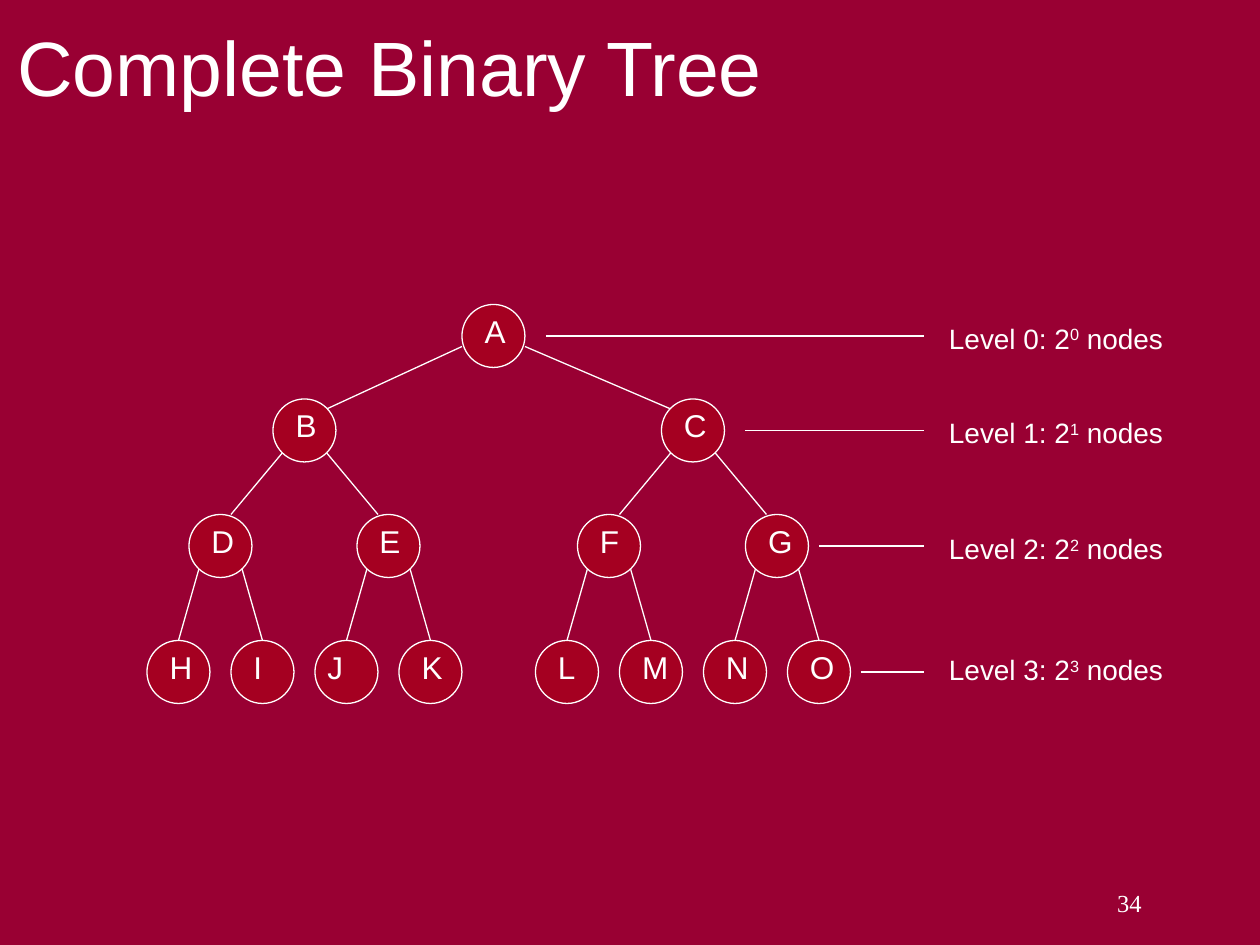
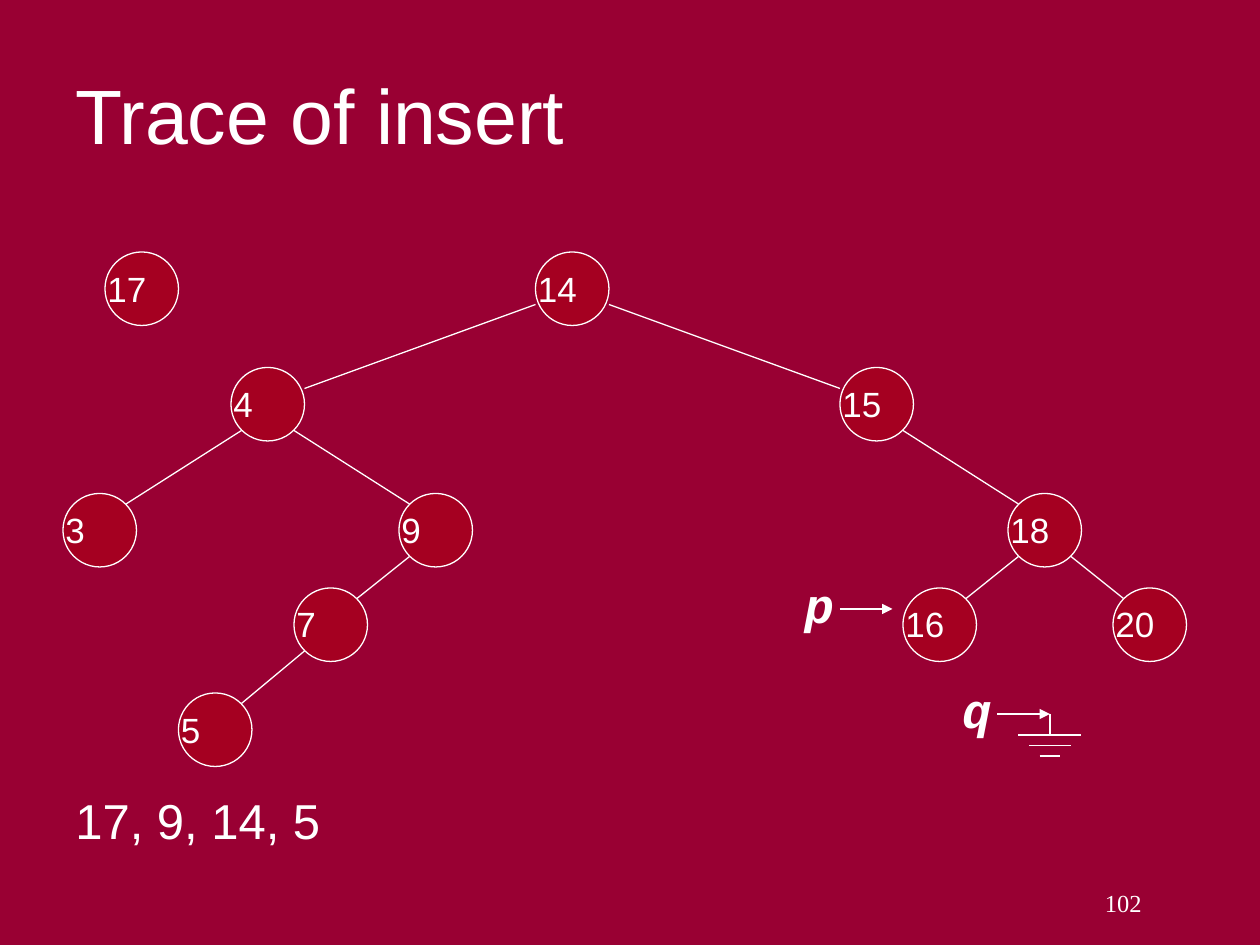
from lxml.etree import SubElement
from pptx import Presentation
from pptx.dml.color import RGBColor
from pptx.enum.shapes import MSO_CONNECTOR, MSO_SHAPE
from pptx.enum.text import MSO_ANCHOR, PP_ALIGN
from pptx.oxml.ns import qn
from pptx.util import Inches, Pt

BACKGROUND, NODE_FILL, WHITE = "990033", "A50021", "FFFFFF"
TITLE = {"name": "Arial", "size": Pt(44)}
BODY = {"name": "Arial", "size": Pt(28)}
LETTER = {"name": "Arial", "size": Pt(18)}
NUMBER = {"name": "Arial", "size": Pt(20)}
LEVEL = {"name": "Arial", "size": Pt(16)}
POINTER = {"name": "Courier New", "size": Pt(28), "bold": True, "italic": True}
PAGE = {"name": "Times New Roman", "size": Pt(14)}


def color(value):
    return RGBColor.from_string(value)


def grid(n):
    return Inches(n / 12)


def add_text(s, text, box, font, **frame):
    tf = s.shapes.add_textbox(*map(Inches, box)).text_frame
    for name, value in {"word_wrap": True, **frame}.items():
        setattr(tf, name, value)
    p = tf.paragraphs[0]
    for i, part in enumerate(text.split("^")):
        r = p.add_run()
        r.text = part
        for name, value in font.items():
            setattr(r.font, name, value)
        r.font.color.rgb = color(WHITE)
        if i == 1:
            r._r.get_or_add_rPr().set("baseline", "30000")
    return p


def add_line(s, x1, y1, x2, y2, arrow=False):
    c = s.shapes.add_connector(MSO_CONNECTOR.STRAIGHT, *map(grid, (x1, y1, x2, y2)))
    c.line.color.rgb = color(WHITE)
    c.line.width = Pt(0.75)
    if arrow:
        SubElement(c.line._get_or_add_ln(), qn("a:tailEnd"), type="triangle")
    SubElement(c._element.spPr, qn("a:effectLst"))


def add_node(s, text, x, y, size, text_box, font):
    sp = s.shapes.add_shape(MSO_SHAPE.OVAL, *map(grid, (x, y, size, size)))
    sp.shadow.inherit = False
    sp.fill.solid()
    sp.fill.fore_color.rgb = color(NODE_FILL)
    sp.line.color.rgb = color(WHITE)
    sp.line.width = Pt(0.75)
    dx, dy, width, height = text_box
    add_text(s, text, (x / 12 + dx, y / 12 + dy, width, height), font)


def add_edge(s, parent, child, size, leave, arrive):
    (px, py), (cx, cy) = parent, child
    (lx, ly), (ax, ay) = leave, arrive
    if cx > px:
        lx, ax = size - lx, size - ax
    add_line(s, px + lx, py + ly, cx + ax, cy + ay)


def add_slide(prs, title, left, top, number):
    s = prs.slides.add_slide(prs.slide_layouts[6])
    s.background.fill.solid()
    s.background.fill.fore_color.rgb = color(BACKGROUND)
    add_text(s, str(number), (7.08, 7, 2.08, 0.5), PAGE).alignment = PP_ALIGN.RIGHT
    add_text(s, title, (left, top, 9, 1), TITLE, vertical_anchor=MSO_ANCHOR.MIDDLE)
    return s


def complete_tree(s, left, top):
    size = 6
    tops = [top + dy for dy in (0, 9, 20, 32)]
    rows = [[left + 8 * i + 5 * (i // 4) for i in range(8)]]
    while len(rows[0]) > 1:
        below = rows[0]
        rows.insert(0, [(a + b) // 2 for a, b in zip(below[::2], below[1::2])])
    ports = [((0, 4), (5, 1)), ((1, 5), (4, 0)), ((1, 5), (3, 0))]
    for depth, (leave, arrive) in enumerate(ports):
        for i, x in enumerate(rows[depth + 1]):
            parent = rows[depth][i // 2], tops[depth]
            add_edge(s, parent, (x, tops[depth + 1]), size, leave, arrive)
    letters = iter("ABCDEFGHIJKLMNO")
    for row, y in zip(rows, tops):
        for x in row:
            letter = next(letters)
            dx = 0 if letter == "J" else 0.08
            add_node(s, letter, x, y, size, (dx, 0.01, 0.42, 0.4), LETTER)


def level_key(s, left, top):
    rows = [(0, 36, 2.5), (9, 17, 3.25), (20, 10, 4.17), (32, 6, 5.13)]
    for level, (dy, length, label_top) in enumerate(rows):
        add_line(s, left - length, top + dy, left, top + dy)
        add_text(s, f"Level {level}: 2^{level}^ nodes",
                 (left / 12 + 0.1, label_top, 1.9, 0.37), LEVEL, word_wrap=False)


def search_tree(s, left, top):
    size = 7
    places = {17: (4, 0), 14: (45, 0), 4: (16, 11), 15: (74, 11), 3: (0, 23),
              9: (32, 23), 18: (90, 23), 7: (22, 32), 16: (80, 32),
              20: (100, 32), 5: (11, 42)}
    nodes = {key: (left + x, top + y) for key, (x, y) in places.items()}
    children = {14: (4, 15), 4: (3, 9), 15: (18,), 9: (7,), 18: (16, 20), 7: (5,)}
    for parent, keys in children.items():
        leave, arrive = ((0, 5), (7, 2)) if parent == 14 else ((1, 6), (6, 1))
        for key in keys:
            add_edge(s, nodes[parent], nodes[key], size, leave, arrive)
    for key, (x, y) in nodes.items():
        add_node(s, str(key), x, y, size, (-0.08, 0.07, 0.75, 0.44), NUMBER)


def pointer(s, label, x, y):
    add_text(s, label, (x / 12 - 0.38, y / 12 - 0.32, 0.45, 0.57), POINTER,
             word_wrap=False)
    add_line(s, x, y, x + 5, y, arrow=True)


def null_symbol(s, x, y):
    add_line(s, x, y, x, y + 2)
    for i in range(3):
        half = 3 - i
        add_line(s, x - half, y + 2 + i, x + half, y + 2 + i)


def main():
    prs = Presentation()
    prs.slide_width, prs.slide_height = Inches(10), Inches(7.5)

    s = add_slide(prs, "Complete Binary Tree", 0.04, 0.02, 34)
    complete_tree(s, 14, 29)
    level_key(s, 88, 32)

    s = add_slide(prs, "Trace of insert", 0.5, 0.4, 102)
    add_text(s, "17, 9, 14, 5", (0.5, 6.17, 9, 0.75), BODY, margin_top=Inches(0.1))
    search_tree(s, 6, 24)
    pointer(s, "p", 80, 58)
    pointer(s, "q", 95, 68)
    null_symbol(s, 100, 68)

    prs.save("out.pptx")


if __name__ == "__main__":
    main()
